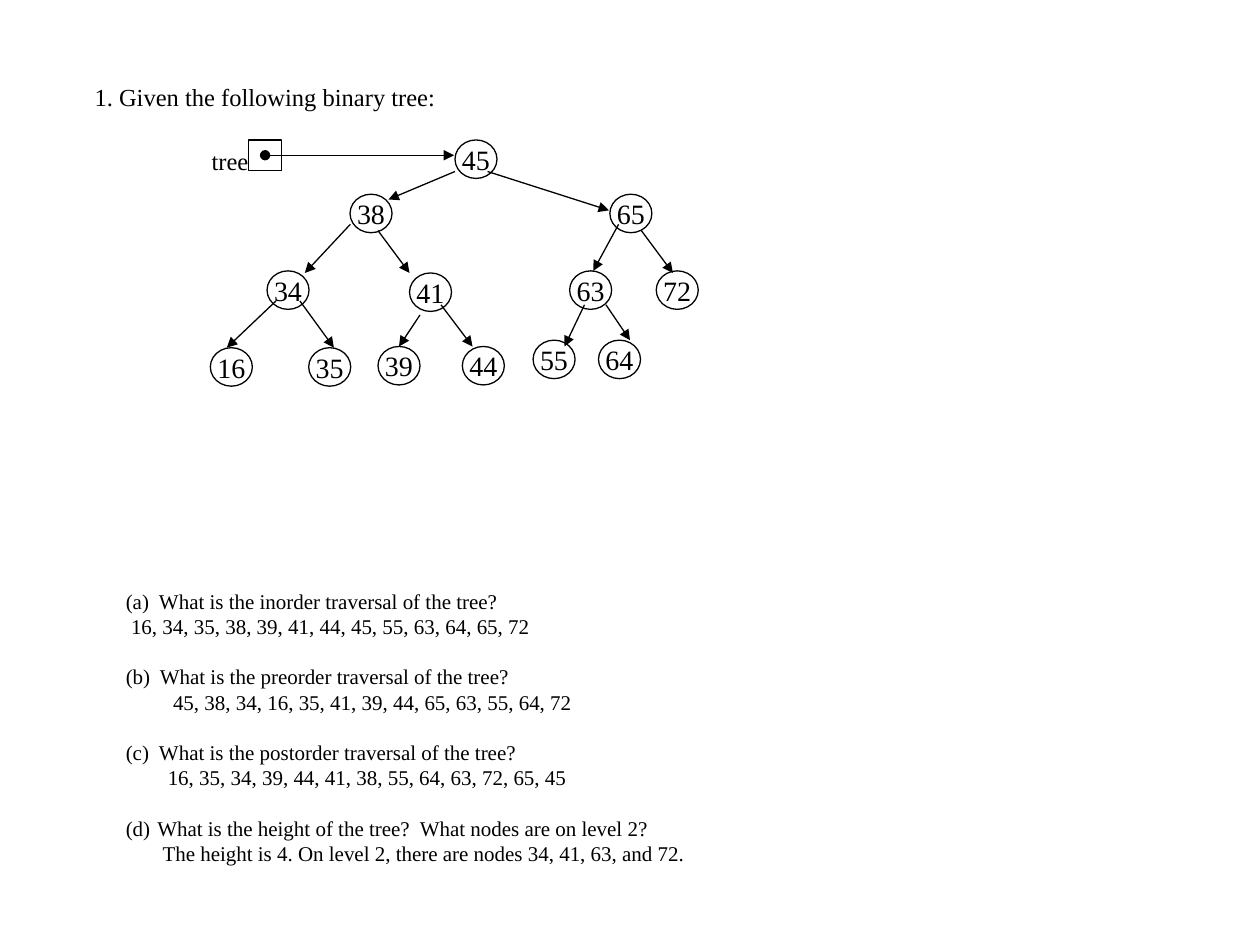
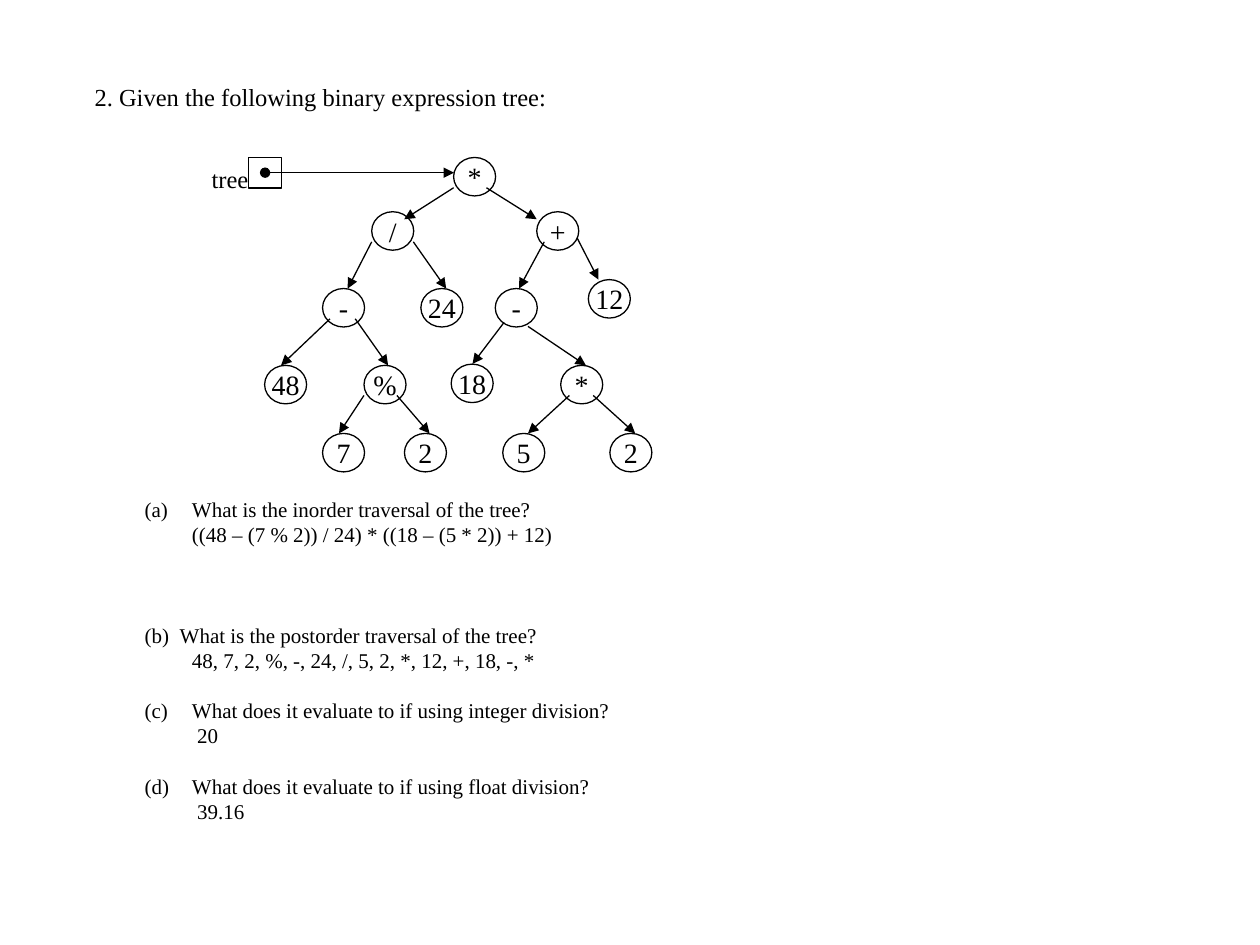
from lxml import etree
from pptx import Presentation
from pptx.dml.color import RGBColor
from pptx.enum.shapes import MSO_CONNECTOR, MSO_SHAPE
from pptx.enum.text import MSO_ANCHOR, MSO_AUTO_SIZE, PP_ALIGN
from pptx.oxml.ns import qn
from pptx.util import Pt

BLACK = RGBColor(0x00, 0x00, 0x00)
FONT = "Times New Roman"
LEFT, CENTER = PP_ALIGN.LEFT, PP_ALIGN.CENTER
TOP, MIDDLE = MSO_ANCHOR.TOP, MSO_ANCHOR.MIDDLE
FIXED = MSO_AUTO_SIZE.NONE
STRAIGHT = MSO_CONNECTOR.STRAIGHT
OVAL, RECTANGLE = MSO_SHAPE.OVAL, MSO_SHAPE.RECTANGLE

TITLE_ONLY = 5
TITLE_SIZE, NODE_TEXT_SIZE, BODY_SIZE = 14, 16, 12
BODY_LINE = 14.4
NODE_WIDTH, NODE_HEIGHT = 24, 22
LINE_WIDTH = 0.75

# Each node is (label, left, top); each edge is (x1, y1, x2, y2).
# Each question is (blank lines above, text indent, question, answer indent, answer).
SEARCH_TREE = {
    "title": "1. Given the following binary tree:",
    "title_width": 211,
    "pointer_top": 80,
    "nodes": [
        ("45", 260, 80),
        ("38", 200, 111), ("65", 348.5, 111),
        ("34", 152.6, 154.8), ("41", 234, 156), ("63", 325.5, 154.8), ("72", 375, 154.8),
        ("16", 120.2, 198.7), ("35", 176.4, 198.7), ("39", 216, 198), ("44", 264.2, 198),
        ("55", 304.6, 194.4), ("64", 342, 194.4),
    ],
    "edges": [
        (260, 98, 222, 114), (278.6, 98, 348, 120.2),
        (200.2, 128.2, 174.2, 156), (216, 131.8, 234, 156),
        (353.5, 128.2, 339, 154.8), (366.5, 131.8, 384.5, 156),
        (157.7, 172, 129.6, 198.7), (171.4, 172, 190.8, 198.7),
        (240, 180, 228, 198), (252, 174.2, 270, 198),
        (334, 174.2, 322.6, 198), (346.3, 174.2, 360, 194.4),
    ],
    "questions_box": (64.8, 332.6, 338, 181),
    "questions": [
        (0, 19, "What is the inorder traversal of the tree?",
         3, "16, 34, 35, 38, 39, 41, 44, 45, 55, 63, 64, 65, 72"),
        (1, 19.5, "What is the preorder traversal of the tree?",
         27, "45, 38, 34, 16, 35, 41, 39, 44, 65, 63, 55, 64, 72"),
        (1, 19, "What is the postorder traversal of the tree?",
         24, "16, 35, 34, 39, 44, 41, 38, 55, 64, 63, 72, 65, 45"),
        (1, 18, "What is the height of the tree?  What nodes are on level 2?",
         21, "The height is 4. On level 2, there are nodes 34, 41, 63, and 72."),
    ],
}

EXPRESSION_TREE = {
    "title": "2. Given the following binary expression tree:",
    "title_width": 274,
    "pointer_top": 90,
    "nodes": [
        ("*", 259.2, 90),
        ("/", 212.4, 121), ("+", 306.7, 121),
        ("-", 184.3, 164.9), ("24", 240.5, 164.9), ("-", 283, 164.9), ("12", 336.2, 159.8),
        ("48", 151.2, 208.8), ("%", 208, 208.8), ("18", 257.8, 208.1), ("*", 320.4, 208.8),
        ("7", 184.3, 247.7), ("2", 231.1, 247.7), ("5", 287.3, 247.7), ("2", 348.5, 247.7),
    ],
    "edges": [
        (259.2, 107.3, 231, 125.3), (278, 107.3, 306.7, 125.3),
        (212.4, 138.2, 198.7, 164.9), (236.2, 138.2, 255, 164.9),
        (311, 138.2, 296.6, 164.9), (329.8, 136, 342, 159.8),
        (188.6, 182.2, 160.6, 208.8), (203, 182.2, 221.8, 208.8),
        (288, 184.3, 270, 208), (301.7, 186.5, 334.8, 208.8),
        (208, 226, 193.7, 247.7), (226.8, 226, 245.5, 247.7),
        (325.4, 226, 301.7, 247.7), (339, 226, 363, 247.7),
    ],
    "questions_box": (75.6, 280, 284, 240),
    "questions": [
        (0, 27, "What is the inorder traversal of the tree?",
         27, "((48 – (7 % 2)) / 24) * ((18 – (5 * 2)) + 12)"),
        (3, 20, "What is the postorder traversal of the tree?",
         27, "48, 7, 2, %, -, 24, /, 5, 2, *, 12, +, 18, -, *"),
        (1, 27, "What does it evaluate to if using integer division?", 30, "20"),
        (1, 27, "What does it evaluate to if using float division?", 30, "39.16"),
    ],
}


def points(*values):
    return [Pt(value) for value in values]


def set_values(target, values):
    for name, value in values.items():
        setattr(target, name, value)


class TreeDeck:
    def __init__(self):
        self.deck = Presentation()
        set_values(self.deck, {"slide_width": Pt(720), "slide_height": Pt(540)})
        self.page = None

    def add_page(self):
        self.page = self.deck.slides.add_slide(self.deck.slide_layouts[TITLE_ONLY])

    def add_text(self, para, text, size, align=LEFT):
        para.alignment = align
        span = para.add_run()
        span.text = text
        set_values(span.font, {"name": FONT, "size": Pt(size), "bold": False})
        span.font.color.rgb = BLACK

    def title(self, text, width):
        box = self.page.shapes.title
        place = dict(zip(("left", "top", "width", "height"), points(46.8, 43.2, width, 24)))
        set_values(box, place)
        set_values(box.text_frame,
                   {"word_wrap": True, "vertical_anchor": TOP, "auto_size": FIXED})
        self.add_text(box.text_frame.paragraphs[0], text, TITLE_SIZE)

    def text_box(self, left, top, width, height, wrap):
        box = self.page.shapes.add_textbox(*points(left, top, width, height))
        box.text_frame.word_wrap = wrap
        return box.text_frame

    def outline(self, kind, left, top, width, height):
        """Add an unfilled shape with a thin black line."""
        shape = self.page.shapes.add_shape(kind, *points(left, top, width, height))
        shape.shadow.inherit = False
        shape.fill.background()
        shape.line.color.rgb = BLACK
        shape.line.width = Pt(LINE_WIDTH)
        return shape

    def node(self, label, left, top):
        frame = self.outline(OVAL, left, top, NODE_WIDTH, NODE_HEIGHT).text_frame
        set_values(frame, {"word_wrap": False, "vertical_anchor": MIDDLE})
        self.add_text(frame.paragraphs[0], label, NODE_TEXT_SIZE, CENTER)

    def arrow(self, x1, y1, x2, y2, start=None):
        line = self.page.shapes.add_connector(STRAIGHT, *points(x1, y1, x2, y2))
        line.line.color.rgb = BLACK
        line.line.width = Pt(LINE_WIDTH)
        properties = line._element.spPr
        outline = properties.find(qn("a:ln"))
        if start:
            etree.SubElement(outline, qn("a:headEnd"), type=start)
        etree.SubElement(outline, qn("a:tailEnd"), type="triangle")
        etree.SubElement(properties, qn("a:effectLst"))

    def root_pointer(self, top):
        """Add the variable named tree and its arrow to the root node."""
        self.outline(RECTANGLE, 142, top, 19, 17.5)
        label = self.text_box(113.8, top, 35.3, 24, wrap=False)
        self.add_text(label.paragraphs[0], "tree", TITLE_SIZE)
        self.arrow(151.5, top + 8.7, 259.5, top + 8.7, start="oval")

    def indent(self, para, left, first=0):
        properties = para._p.get_or_add_pPr()
        properties.set("marL", str(Pt(left)))
        properties.set("indent", str(Pt(first)))
        return properties

    def questions(self, place, items):
        frame = self.text_box(*place, wrap=True)
        for number, (blanks, text_left, question, answer_left, answer) in enumerate(items, 1):
            para = frame.paragraphs[0] if number == 1 else frame.add_paragraph()
            para.space_before = Pt(blanks * BODY_LINE)
            self.add_text(para, question, BODY_SIZE)
            properties = self.indent(para, text_left, -text_left)
            etree.SubElement(properties, qn("a:buFont"), typeface=FONT)
            etree.SubElement(properties, qn("a:buAutoNum"),
                             type="alphaLcParenBoth", startAt=str(number))
            reply = frame.add_paragraph()
            self.add_text(reply, answer, BODY_SIZE)
            self.indent(reply, answer_left)

    def exercise(self, content):
        self.add_page()
        self.title(content["title"], content["title_width"])
        self.questions(content["questions_box"], content["questions"])
        for node in content["nodes"]:
            self.node(*node)
        for edge in content["edges"]:
            self.arrow(*edge)
        self.root_pointer(content["pointer_top"])


def main():
    tree_deck = TreeDeck()
    for content in (SEARCH_TREE, EXPRESSION_TREE):
        tree_deck.exercise(content)
    tree_deck.deck.save("out.pptx")


if __name__ == "__main__":
    main()
